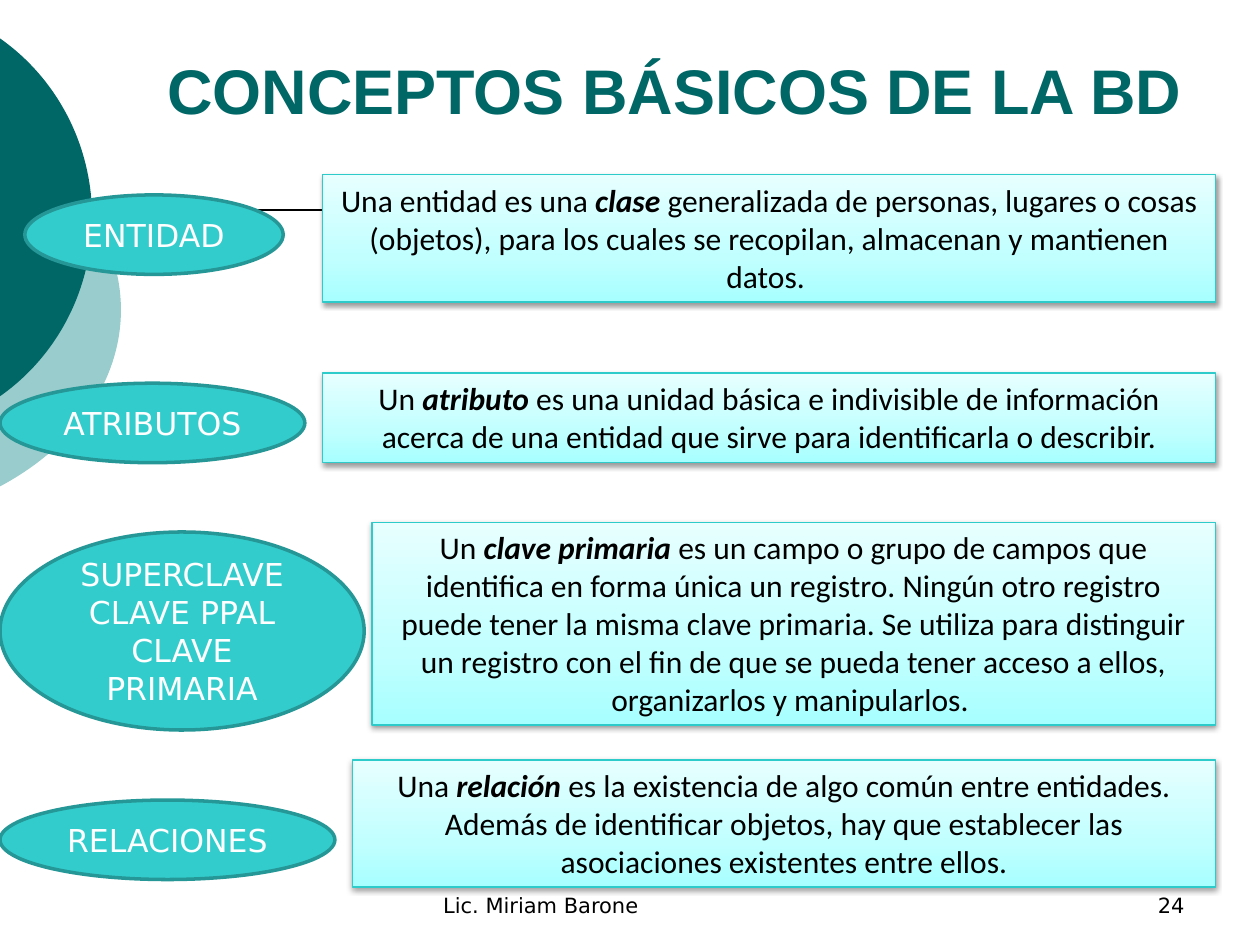
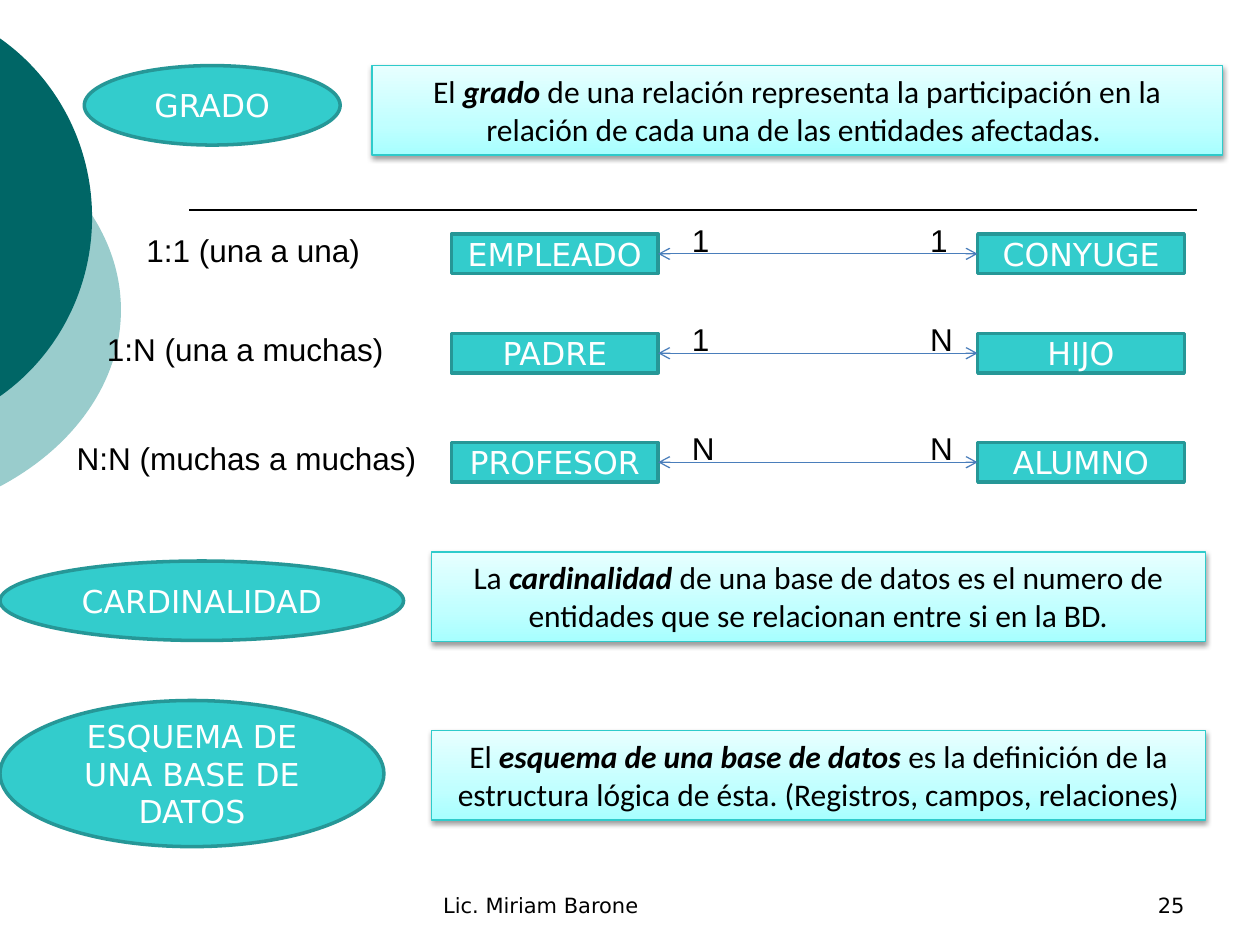
"""Build two slides on the basic concepts of databases."""
import copy

import pptx
import pptx.dml.color
import pptx.enum.shapes
import pptx.enum.text
import pptx.oxml
import pptx.oxml.ns
import pptx.util

TITLE = "CONCEPTOS BÁSICOS DE LA BD"
AUTHOR = "Lic. Miriam Barone"

# Each concept: name lines, oval box, definition (left, top, width, lines), definition runs
BASIC_CONCEPTS = [
    (["ENTIDAD"], (14.2, 111.4, 147.6, 45.4), (184.3, 99.9, 510.5, 3),
     ("Una entidad es una ", "clase ",
      "generalizada de personas, lugares o cosas (objetos), para los cuales se recopilan, "
      "almacenan y mantienen datos. ")),
    (["ATRIBUTOS"], (0, 219, 174.2, 45.4), (184.3, 213.2, 510.5, 2),
     ("Un ", "atributo",
      " es una unidad básica e indivisible de información acerca de una entidad que sirve "
      "para identificarla o describir.")),
    (["SUPERCLAVE", "CLAVE PPAL", "CLAVE PRIMARIA"], (0, 304, 208.1, 113.2),
     (212.6, 298.4, 481.9, 5),
     ("Un ", "clave primaria ",
      "es un campo o grupo de campos que identifica en forma única un registro. Ningún otro "
      "registro puede tener la misma clave primaria. Se utiliza para distinguir un registro con "
      "el fin de que se pueda tener acceso a ellos, organizarlos y manipularlos. ")),
    (["RELACIONES"], (0, 457.2, 191.4, 45.4), (201.4, 434.2, 493.2, 3),
     ("Una ", "relación",
      " es la existencia de algo común entre entidades. Además de identificar objetos, hay que "
      "establecer las asociaciones existentes entre ellos.")),
]
RELATION_CONCEPTS = [
    (["GRADO"], (48.2, 37.5, 146.2, 45.4), (212.6, 37.5, 486, 2),
     ("El ", "grado",
      " de una relación representa la participación en la relación de cada una de las "
      "entidades afectadas. ")),
    (["CARDINALIDAD"], (0, 320.6, 230.6, 45.4), (246.7, 315.4, 442, 2),
     ("La ", "cardinalidad",
      " de una base de datos es el numero de entidades que se relacionan entre si en la BD.")),
    (["ESQUEMA DE UNA BASE DE DATOS"], (0, 400.3, 219.4, 83.5), (246.7, 417.5, 442, 2),
     ("El ", "esquema de una base de datos ",
      "es la definición de la estructura lógica de ésta. (Registros, campos, relaciones)")),
]
# Each degree: label, label left, label width, row top, (entity, count) on each side
DEGREES = [
    ("1:1 (una a una)", 76.5, 145.4, 133.8, ("EMPLEADO ", "1"), ("CONYUGE", "1")),
    ("1:N (una a muchas)", 54, 184.3, 190.6, ("PADRE", "1"), ("HIJO", "N")),
    ("N:N (muchas a muchas)", 36.7, 215.3, 252.9, ("PROFESOR", "N"), ("ALUMNO", "N")),
]
SLIDES = [(24, TITLE, BASIC_CONCEPTS, []), (25, None, RELATION_CONCEPTS, DEGREES)]

DISCS = [("99CCCC", (-254.9, 54, 324, 246.2)), ("006666", (-190.8, 0, 243.4, 248.4))]
GRADIENT = [(0, "A7FFFF"), (0.35, "C1FFFF"), (1, "E7FFFF")]
ENTITY_LEFTS, COUNT_LEFTS = (258, 558.7), (388.3, 524.4)
ENTITY_WIDTH, ENTITY_HEIGHT = 118.1, 22.5

TITLE_FONT = {"name": "Arial", "size": 36, "bold": True, "color": "006666"}
FOOTER_FONT = {"name": "DejaVu Sans", "size": 12, "color": "000000"}
NAME_FONT = {"name": "DejaVu Sans", "size": 18, "color": "FFFFFF"}
LABEL_FONT = {"name": "Arial", "size": 18, "color": "000000"}
BODY_FONT = {"name": "Calibri", "size": 18, "color": "000000"}
TERM_FONT = {**BODY_FONT, "bold": True, "italic": True}

SHAPE = pptx.enum.shapes.MSO_SHAPE
ALIGN = pptx.enum.text.PP_ALIGN
ANCHOR = pptx.enum.text.MSO_ANCHOR
NAMESPACE = pptx.oxml.ns.nsdecls("a")
SHADOW = (f'<a:effectLst {NAMESPACE}><a:outerShdw blurRad="40000" dist="20000" dir="5400000" '
          'rotWithShape="0"><a:srgbClr val="000000"><a:alpha val="38000"/></a:srgbClr>'
          '</a:outerShdw></a:effectLst>')


def color(value):
    return pptx.dml.color.RGBColor.from_string(value)


def points(values):
    return [pptx.util.Pt(value) for value in values]


def set_line(shape, value, width):
    shape.line.color.rgb = color(value)
    shape.line.width = pptx.util.Pt(width)


def write(shape, paragraphs, align=ALIGN.LEFT, anchor=ANCHOR.TOP, grow=False):
    frame = shape.text_frame
    frame.word_wrap = True
    frame.vertical_anchor = anchor
    if grow:
        frame.auto_size = pptx.enum.text.MSO_AUTO_SIZE.SHAPE_TO_FIT_TEXT
    for index, runs in enumerate(paragraphs):
        paragraph = frame.add_paragraph() if index else frame.paragraphs[0]
        paragraph.alignment = align
        for text, values in runs:
            run = paragraph.add_run()
            run.text = text
            for key, value in values.items():
                if key == "color":
                    run.font.color.rgb = color(value)
                else:
                    setattr(run.font, key, pptx.util.Pt(value) if key == "size" else value)


def add_text(slide, box, text, font, **layout):
    write(slide.shapes.add_textbox(*points(box)), [[(text, font)]], **layout)


def add_filled_shape(slide, kind, box, value):
    shape = slide.shapes.add_shape(kind, *points(box))
    shape.shadow.inherit = False
    shape.fill.solid()
    shape.fill.fore_color.rgb = color(value)
    return shape


def add_named_shape(slide, kind, box, lines):
    shape = add_filled_shape(slide, kind, box, "33CCCC")
    set_line(shape, "269797", 2)
    write(shape, [[(line, NAME_FONT)] for line in lines], ALIGN.CENTER, ANCHOR.MIDDLE)
    return shape


def add_definition(slide, place, texts):
    left, top, width, lines = place
    box = (left, top, width, 7.9 + 21.6 * lines)
    shape = slide.shapes.add_shape(SHAPE.RECTANGLE, *points(box))
    shape.fill.gradient()
    shape.fill.gradient_angle = 90
    stop_list = shape.element.find(".//" + pptx.oxml.ns.qn("a:gsLst"))
    stop_list.insert(1, copy.deepcopy(stop_list[0]))
    for stop, (position, value) in zip(shape.fill.gradient_stops, GRADIENT):
        stop.position = position
        stop.color.rgb = color(value)
    set_line(shape, "2ECBCB", 0.75)
    shape.element.spPr.append(pptx.oxml.parse_xml(SHADOW))
    runs = list(zip(texts, (BODY_FONT, TERM_FONT, BODY_FONT)))
    write(shape, [runs], ALIGN.CENTER, grow=True)


def add_connector(slide, start, end):
    connector = slide.shapes.add_connector(
        pptx.enum.shapes.MSO_CONNECTOR.STRAIGHT, *points(start + end))
    connector.element.spPr.append(pptx.oxml.parse_xml(f"<a:effectLst {NAMESPACE}/>"))
    return connector


def add_frame(slide, number):
    for value, box in DISCS:
        add_filled_shape(slide, SHAPE.OVAL, box, value).line.fill.background()
    set_line(add_connector(slide, (108, 120.2), (684, 120.2)), "000000", 1)
    add_text(slide, (246.2, 491.8, 228.2, 36), AUTHOR, FOOTER_FONT, anchor=ANCHOR.BOTTOM)
    add_text(slide, (516.2, 491.8, 167.8, 36), str(number), FOOTER_FONT,
             align=ALIGN.RIGHT, anchor=ANCHOR.BOTTOM)


def add_degree(slide, label, label_left, label_width, top, *sides):
    add_text(slide, (label_left, top - 5.5, label_width, 29), label, LABEL_FONT, grow=True)
    entities = []
    for (entity, count), left, count_left in zip(sides, ENTITY_LEFTS, COUNT_LEFTS):
        box = (left, top, ENTITY_WIDTH, ENTITY_HEIGHT)
        entities.append(add_named_shape(slide, SHAPE.RECTANGLE, box, [entity]))
        add_text(slide, (count_left, top - 11.2, 16.6, 29), count, LABEL_FONT, grow=True)
    middle = top + ENTITY_HEIGHT / 2
    arrow = add_connector(slide, (ENTITY_LEFTS[1], middle),
                          (ENTITY_LEFTS[0] + ENTITY_WIDTH, middle))
    arrow.begin_connect(entities[1], 1)
    arrow.end_connect(entities[0], 3)
    set_line(arrow, "4A7EBB", 0.75)
    line = arrow.element.spPr.find(pptx.oxml.ns.qn("a:ln"))
    for end in ("headEnd", "tailEnd"):
        line.append(pptx.oxml.parse_xml(f'<a:{end} {NAMESPACE} type="arrow"/>'))


def main():
    presentation = pptx.Presentation()
    presentation.slide_width, presentation.slide_height = points((720, 540))
    for number, title, concepts, degrees in SLIDES:
        slide = presentation.slides.add_slide(presentation.slide_layouts[6])
        add_frame(slide, number)
        if title:
            add_text(slide, (51.1, 20.2, 668.9, 61.2), title, TITLE_FONT,
                     align=ALIGN.CENTER, anchor=ANCHOR.MIDDLE)
        for lines, oval_box, place, texts in concepts:
            add_named_shape(slide, SHAPE.OVAL, oval_box, lines)
            add_definition(slide, place, texts)
        for degree in degrees:
            add_degree(slide, *degree)
    presentation.save("out.pptx")


if __name__ == "__main__":
    main()
